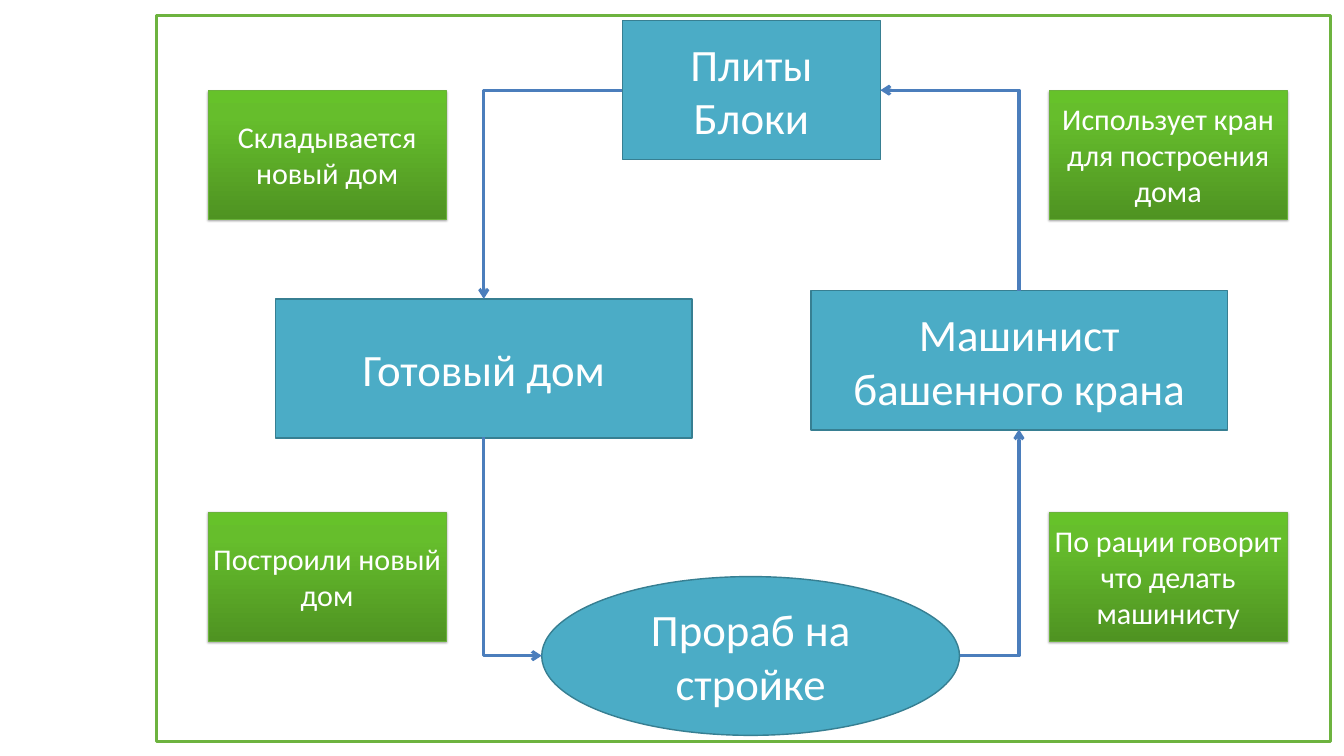
from copy import deepcopy
from dataclasses import dataclass

from lxml.etree import SubElement
from pptx import Presentation
from pptx.dml.color import RGBColor
from pptx.enum.shapes import MSO_CONNECTOR, MSO_SHAPE
from pptx.enum.text import MSO_ANCHOR, PP_ALIGN
from pptx.oxml.ns import qn
from pptx.shapes.autoshape import Shape
from pptx.slide import Slide
from pptx.util import Inches, Pt

FONT = "Calibri"
LABEL_STOPS = [(0, "4F9322"), (0.8, "66BE2C"), (1, "66C22A")]
LEFT_LABEL, RIGHT_LABEL = 4.13, 20.82
TOP_LABEL, BOTTOM_LABEL = 1.79, 10.16


@dataclass
class Node:
    name: str
    lines: list[str]
    left: float
    top: float
    width: float
    height: float = 2.76
    kind: MSO_SHAPE = MSO_SHAPE.RECTANGLE


@dataclass
class Link:
    """Sites count anticlockwise from the top: 4 on a rectangle, 8 on an ellipse."""
    source: str
    source_site: int
    target: str
    target_site: int
    start: tuple[float, float]
    end: tuple[float, float]
    vertical_first: bool


@dataclass
class Label:
    text: str
    left: float
    top: float


NODES = [
    Node("foreman", ["Прораб на стройке"], 10.75, 11.44, 8.29, 3.15, MSO_SHAPE.OVAL),
    Node("operator", ["Машинист башенного крана"], 16.09, 5.77, 8.27),
    Node("house", ["Готовый дом"], 5.47, 5.93, 8.26),
    Node("materials", ["Плиты", "Блоки"], 12.35, 0.41, 5.12),
]
LINKS = [
    Link("operator", 0, "materials", 3, (20.22, 5.77), (17.47, 1.79), True),
    Link("materials", 1, "house", 0, (12.35, 1.79), (9.6, 5.93), False),
    Link("foreman", 6, "operator", 2, (19.04, 13.01), (20.22, 8.52), False),
    Link("house", 2, "foreman", 2, (9.6, 8.68), (10.75, 13.01), True),
]
LABELS = [
    Label("Использует кран для построения дома", RIGHT_LABEL, TOP_LABEL),
    Label("По рации говорит что делать машинисту", RIGHT_LABEL, BOTTOM_LABEL),
    Label("Складывается новый дом", LEFT_LABEL, TOP_LABEL),
    Label("Построили новый дом", LEFT_LABEL, BOTTOM_LABEL),
]


def color(value: str) -> RGBColor:
    return RGBColor.from_string(value)


def add_box(page: Slide, kind: MSO_SHAPE, left: float, top: float, width: float,
            height: float, fill: str, line: str, line_width: float) -> Shape:
    box = page.shapes.add_shape(kind, Inches(left), Inches(top), Inches(width), Inches(height))
    box.shadow.inherit = False
    box.fill.solid()
    box.fill.fore_color.rgb = color(fill)
    box.line.color.rgb = color(line)
    box.line.width = Pt(line_width)
    return box


def write(box: Shape, lines: list[str], size: int) -> None:
    frame = box.text_frame
    frame.word_wrap = True
    frame.vertical_anchor = MSO_ANCHOR.MIDDLE
    for index, line in enumerate(lines):
        para = frame.add_paragraph() if index else frame.paragraphs[0]
        para.alignment = PP_ALIGN.CENTER
        span = para.add_run()
        span.text = line
        span.font.name = FONT
        span.font.size = Pt(size)
        span.font.color.rgb = color("FFFFFF")


def add_node(page: Slide, node: Node) -> Shape:
    box = add_box(page, node.kind, node.left, node.top, node.width, node.height,
                  "4BACC6", "377F92", 2)
    write(box, node.lines, 64)
    return box


def add_link(page: Slide, link: Link, boxes: dict[str, Shape]) -> None:
    """Draw an arrow with one right-angle bend, attached at both ends."""
    (x1, y1), (x2, y2) = link.start, link.end
    arrow = page.shapes.add_connector(
        MSO_CONNECTOR.ELBOW, Inches(x1), Inches(y1), Inches(x2), Inches(y2))
    arrow.begin_connect(boxes[link.source], 0)
    arrow.end_connect(boxes[link.target], 0)
    for tag, site in (("stCxn", link.source_site), ("endCxn", link.target_site)):
        arrow.element.find(f".//{qn('a:' + tag)}").set("idx", str(site))

    width, height = abs(x2 - x1), abs(y2 - y1)
    flips = (x2 < x1, y2 < y1)
    transform = arrow.element.spPr.find(qn("a:xfrm"))
    if link.vertical_first:
        width, height = height, width
        flips = (y2 > y1, x2 < x1)
        transform.set("rot", str(270 * 60000))
    for key, flip in zip(("flipH", "flipV"), flips):
        transform.set(key, str(int(flip)))
    arrow.left = Inches((x1 + x2 - width) / 2)
    arrow.top = Inches((y1 + y2 - height) / 2)
    arrow.width, arrow.height = Inches(width), Inches(height)

    properties = arrow.element.spPr
    properties.find(qn("a:prstGeom")).set("prst", "bentConnector2")
    arrow.line.color.rgb = color("4B7EBC")
    arrow.line.width = Pt(4.5)
    SubElement(properties.find(qn("a:ln")), qn("a:tailEnd"), type="arrow")
    SubElement(properties, qn("a:effectLst"))


def add_label(page: Slide, label: Label) -> None:
    box = add_box(page, MSO_SHAPE.RECTANGLE, label.left, label.top, 4.72, 2.56,
                  "66C22A", "6AB23B", 0.75)
    box.fill.gradient()
    box.fill.gradient_angle = 90
    stop_list = box.element.spPr.find(f".//{qn('a:gsLst')}")
    stop_list.append(deepcopy(stop_list[-1]))
    for stop, (position, value) in zip(box.fill.gradient_stops, LABEL_STOPS):
        stop.position = position
        stop.color.rgb = color(value)

    effects = box.element.spPr.find(qn("a:effectLst"))
    shadow = SubElement(effects, qn("a:outerShdw"), blurRad=str(Pt(3.1)), dist=str(Pt(1.8)),
                        dir=str(90 * 60000), rotWithShape="0")
    black = SubElement(shadow, qn("a:srgbClr"), val="000000")
    SubElement(black, qn("a:alpha"), val="35000")

    box.text_frame.margin_left = box.text_frame.margin_right = Inches(0.05)
    write(box, [label.text], 43)


def main() -> None:
    deck = Presentation()
    deck.slide_width, deck.slide_height = Inches(26.67), Inches(15)
    page = deck.slides.add_slide(deck.slide_layouts[6])

    border = add_box(page, MSO_SHAPE.ROUNDED_RECTANGLE, 3.1, 0.3, 23.31, 14.41,
                     "FFFFFF", "6DB33F", 4.5)
    border.adjustments[0] = 0
    boxes = {node.name: add_node(page, node) for node in NODES}
    for link in LINKS:
        add_link(page, link, boxes)
    for label in LABELS:
        add_label(page, label)
    deck.save("out.pptx")


if __name__ == "__main__":
    main()
